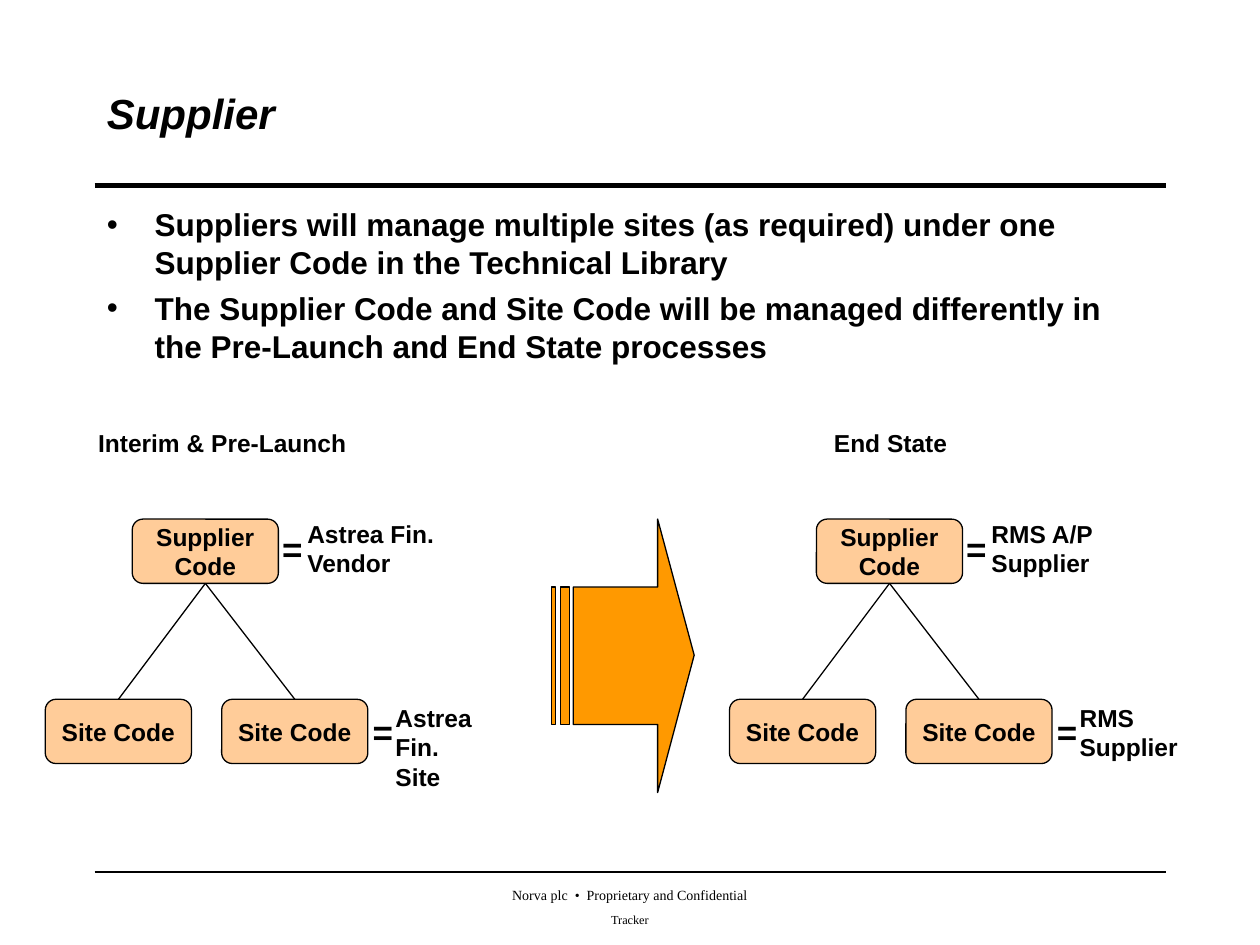
import pptx
import pptx.util
import pptx.dml.color
import pptx.enum.shapes
import pptx.enum.text
import lxml.etree

Inches = pptx.util.Inches
Pt = pptx.util.Pt
SHAPE = pptx.enum.shapes.MSO_SHAPE
ANCHOR = pptx.enum.text.MSO_ANCHOR
ALIGN = pptx.enum.text.PP_ALIGN
DRAWING = "{http://schemas.openxmlformats.org/drawingml/2006/main}"

COLORS = {
    name: pptx.dml.color.RGBColor.from_string(value)
    for name, value in {"ink": "000000", "box": "FFCC99", "arrow": "FF9900"}.items()
}
FONTS = {
    "title": {"name": "Arial", "size": Pt(24), "bold": True, "italic": True},
    "body": {"name": "Arial", "size": Pt(18), "bold": True},
    "equals": {"name": "Arial", "size": Pt(20), "bold": True},
    "label": {"name": "Arial", "size": Pt(14), "bold": True},
    "footer": {"name": "Times New Roman", "size": Pt(8)},
    "small": {"name": "Times New Roman", "size": Pt(7)},
}
MARGINS = (0.1, 0.05)

presentation = pptx.Presentation()
presentation.slide_width = Inches(10)
presentation.slide_height = Inches(7.5)
slide = presentation.slides.add_slide(presentation.slide_layouts[6])


def write(shape, lines, font, align=ALIGN.LEFT, anchor=ANCHOR.TOP,
          margins=MARGINS, wrap=True, spacing=None, bullet=None):
    """Fill a shape with one paragraph per line."""
    frame = shape.text_frame
    side, end = Inches(margins[0]), Inches(margins[1])
    frame_format = {"word_wrap": wrap, "vertical_anchor": anchor,
                    "margin_left": side, "margin_right": side,
                    "margin_top": end, "margin_bottom": end}
    for name, value in frame_format.items():
        setattr(frame, name, value)
    for index, line in enumerate(lines):
        paragraph = frame.paragraphs[0] if index == 0 else frame.add_paragraph()
        paragraph.text = line
        paragraph.alignment = align
        paragraph.line_spacing = spacing
        if bullet:
            if index:
                paragraph.space_before = Pt(4.5)
            properties = paragraph._p.get_or_add_pPr()
            properties.set("marL", str(Inches(0.38)))
            properties.set("indent", str(-Inches(0.38)))
            lxml.etree.SubElement(properties, DRAWING + "buFont", typeface="Arial")
            lxml.etree.SubElement(properties, DRAWING + "buChar", char=bullet)
        for name, value in FONTS[font].items():
            setattr(paragraph.font, name, value)
        paragraph.font.color.rgb = COLORS["ink"]


def add_line(x1, y1, x2, y2, width=0.75):
    connector = slide.shapes.add_connector(
        pptx.enum.shapes.MSO_CONNECTOR.STRAIGHT,
        Inches(x1), Inches(y1), Inches(x2), Inches(y2))
    connector.line.color.rgb = COLORS["ink"]
    connector.line.width = Pt(width)
    lxml.etree.SubElement(connector._element.spPr, DRAWING + "effectLst")


# Rules above the body and above the footer
add_line(0.75, 1.47, 9.25, 1.47, 3)
add_line(0.75, 6.92, 9.25, 6.92)

# Footer, title, bullets and column headings
footer = {"align": ALIGN.CENTER, "wrap": False}
texts = [
    ((4.7, 7.25, 0.6, 0.11), ["Tracker"], "small",
     {**footer, "margins": (0, 0), "spacing": 0.9}),
    ((3.5, 7, 3, 0.19), ["Norva plc  •  Proprietary and Confidential"], "footer",
     {**footer, "margins": (0.07, 0.03), "spacing": 1.04}),
    ((0.75, 0.48, 8.5, 0.83), ["Supplier"], "title", {"anchor": ANCHOR.MIDDLE}),
    ((0.75, 1.58, 8.5, 1.53), [
        "Suppliers will manage multiple sites (as required) under one "
        "Supplier Code in the Technical Library",
        "The Supplier Code and Site Code will be managed differently in "
        "the Pre-Launch and End State processes",
    ], "body", {"bullet": "•"}),
    ((0.68, 3.35, 2.29, 0.34), ["Interim & Pre-Launch"], "label", {}),
    ((6.52, 3.35, 1.19, 0.34), ["End State"], "label", {}),
]

# Supplier trees: left offset, supplier note and site note with their sizes
trees = [
    (0, ["Astrea Fin.", "Vendor"], 1.22, ["Astrea Fin.", "Site"], 1.2, 0.8),
    (5.43, ["RMS A/P", "Supplier"], 1.99, ["RMS Supplier"], 1.44, 0.57),
]
for left, supplier_note, supplier_width, site_note, site_width, site_height in trees:
    for x, y, label in [(1.05, 4.12, "Supplier Code"),
                        (1.76, 5.55, "Site Code"), (0.36, 5.55, "Site Code")]:
        box = slide.shapes.add_shape(SHAPE.ROUNDED_RECTANGLE, Inches(left + x),
                                     Inches(y), Inches(1.16), Inches(0.51))
        box.shadow.inherit = False
        box.fill.solid()
        box.fill.fore_color.rgb = COLORS["box"]
        box.line.color.rgb = COLORS["ink"]
        box.line.width = Pt(0.75)
        write(box, [label], "label", ALIGN.CENTER, ANCHOR.MIDDLE)
    for site_center in (0.94, 2.34):
        add_line(left + 1.63, 4.63, left + site_center, 5.55)
    texts += [
        ((left + 2.14, 4.14, 0.33, 0.44), ["="], "equals", {}),
        ((left + 2.86, 5.59, 0.33, 0.44), ["="], "equals", {}),
        ((left + 2.34, 4.07, supplier_width, 0.57), supplier_note, "label", {}),
        ((left + 3.04, 5.53, site_width, site_height), site_note, "label", {}),
    ]

for position, lines, font, options in texts:
    text_box = slide.shapes.add_textbox(*map(Inches, position))
    write(text_box, lines, font, **options)

# Striped arrow between the trees
top, bottom = 4.66, 5.75
outlines = [[(4.55, top), (5.22, top), (5.22, 4.12), (5.51, 5.2),
             (5.22, 6.29), (5.22, bottom), (4.55, bottom)]]
for start, end in [(4.38, 4.41), (4.45, 4.52)]:
    outlines.append([(start, top), (end, top), (end, bottom), (start, bottom)])
outlines = [[(Inches(x), Inches(y)) for x, y in outline] for outline in outlines]

builder = slide.shapes.build_freeform(*outlines[0][0])
for index, outline in enumerate(outlines):
    if index:
        builder.move_to(*outline[0])
    builder.add_line_segments(outline[1:], close=True)
arrow = builder.convert_to_shape()
arrow.shadow.inherit = False
arrow.fill.solid()
arrow.fill.fore_color.rgb = COLORS["arrow"]
arrow.line.color.rgb = COLORS["ink"]
arrow.line.width = Pt(0.75)

presentation.save("out.pptx")
